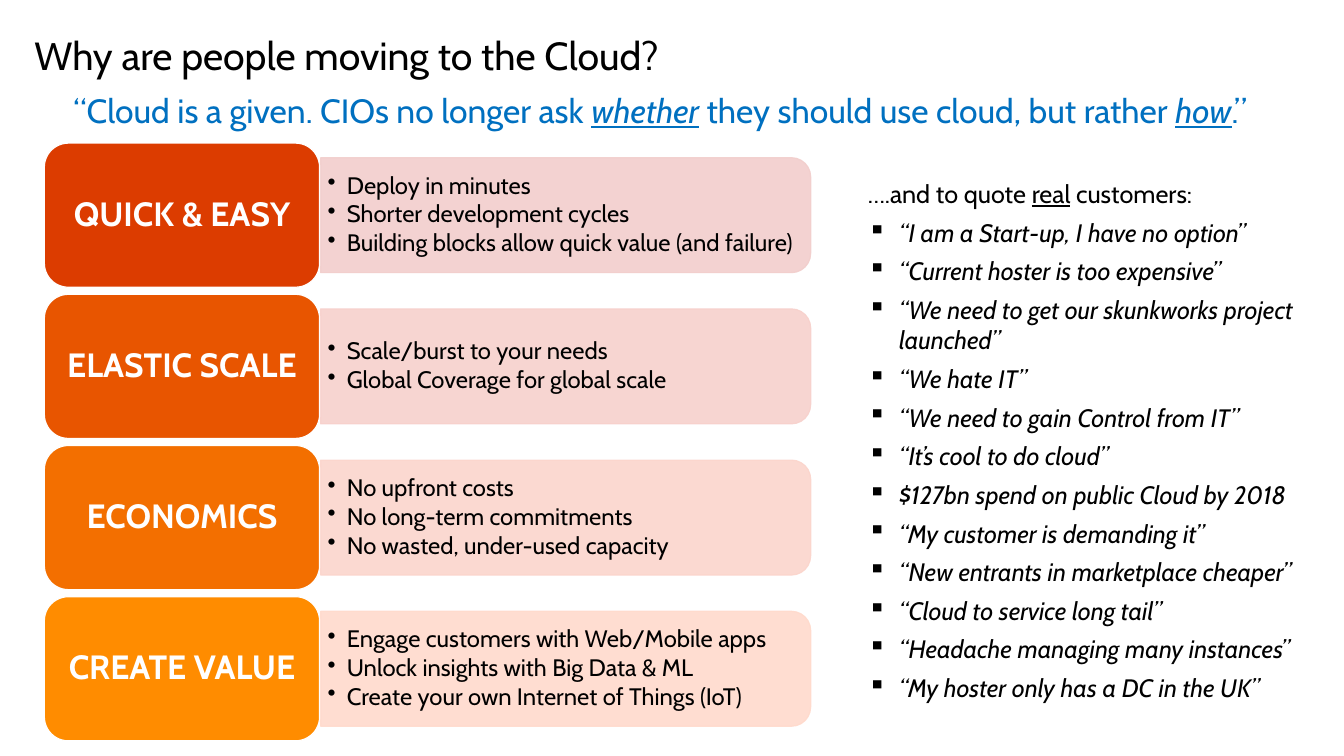
from lxml import etree
from pptx import Presentation
from pptx.dml.color import RGBColor
from pptx.enum import shapes, text
from pptx.oxml import ns
from pptx.util import Inches, Pt

FONT = "Cabin"
TITLE = "Why are people moving to the Cloud?"
HEADLINE = [
    ("“Cloud is a given. CIOs no longer ask ", False),
    ("whether", True),
    (" they should use cloud, but rather ", False),
    ("how", True),
    (".”", False),
]
REASONS = [
    ("QUICK & EASY", "DC3C00", "F2CECC", [
        "Deploy in minutes",
        "Shorter development cycles",
        "Building blocks allow quick value (and failure)",
    ]),
    ("ELASTIC SCALE", "E85500", "F7D1CC", [
        "Scale/burst to your needs",
        "Global Coverage for global scale",
    ]),
    ("ECONOMICS", "F36F00", "FBD5CC", [
        "No upfront costs",
        "No long-term commitments",
        "No wasted, under-used capacity",
    ]),
    ("CREATE VALUE", "FF8C00", "FFDACC", [
        "Engage customers with Web/Mobile apps",
        "Unlock insights with Big Data & ML",
        "Create your own Internet of Things (IoT)",
    ]),
]
QUOTES_INTRO = [("….and to quote ", False), ("real", True), (" customers:", False)]
QUOTES = [
    "“I am a Start-up, I have no option”",
    "“Current hoster is too expensive”",
    "“We need to get our skunkworks project launched”",
    "“We hate IT”",
    "“We need to gain Control from IT”",
    "“It’s cool to do cloud”",
    "$127bn spend on public Cloud by 2018",
    "“My customer is demanding it”",
    "“New entrants in marketplace cheaper”",
    "“Cloud to service long tail”",
    "“Headache managing many instances”",
    "“My hoster only has a DC in the UK”",
]

ROW_TOP, ROW_PITCH = 1.42, 1.5
LABEL_LEFT, LABEL_WIDTH, LABEL_HEIGHT = 0.44, 2.73, 1.43
PANEL_LEFT, PANEL_WIDTH, PANEL_HEIGHT = 3.18, 4.86, 1.14
POINTS_WIDTH, POINTS_HEIGHT = 4.8, 1.03


def color(value):
    return RGBColor.from_string(value)


def style(paragraph, size, ink="000000", bold=False, italic=False):
    font = paragraph.font
    font.name, font.size = FONT, Pt(size)
    font.bold, font.italic = bold, italic
    font.color.rgb = color(ink)


def bullet(paragraph, mark, indent):
    properties = paragraph._p.get_or_add_pPr()
    properties.set("marL", str(Inches(indent)))
    properties.set("indent", str(-Inches(indent)))
    etree.SubElement(properties, ns.qn("a:buChar")).set("char", mark)


def add_runs(paragraph, runs, italic=False):
    for words, stressed in runs:
        run = paragraph.add_run()
        run.text = words
        if stressed:
            run.font.underline = True
            if italic:
                run.font.italic = True


def add_text(slide, left, top, width, height):
    box = slide.shapes.add_textbox(Inches(left), Inches(top), Inches(width), Inches(height))
    box.text_frame.word_wrap = True
    return box.text_frame


def add_block(slide, preset, left, top, width, height, fill, line):
    block = slide.shapes.add_shape(
        preset, Inches(left), Inches(top), Inches(width), Inches(height))
    block.shadow.inherit = False
    block.fill.solid()
    block.fill.fore_color.rgb = color(fill)
    block.line.color.rgb = color(line)
    block.line.width = Pt(0.85)
    return block


def add_panel(slide, middle, fill):
    center = PANEL_LEFT + PANEL_WIDTH / 2
    panel = add_block(
        slide, shapes.MSO_SHAPE.ROUND_2_SAME_RECTANGLE,
        center - PANEL_HEIGHT / 2, middle - PANEL_WIDTH / 2,
        PANEL_HEIGHT, PANEL_WIDTH, fill, fill)
    panel.rotation = 90
    for tint in panel._element.spPr.iter(ns.qn("a:srgbClr")):
        etree.SubElement(tint, ns.qn("a:alpha")).set("val", "90000")


def add_points(slide, middle, points):
    frame = add_text(slide, PANEL_LEFT, middle - POINTS_HEIGHT / 2, POINTS_WIDTH, POINTS_HEIGHT)
    frame.vertical_anchor = text.MSO_ANCHOR.MIDDLE
    frame.margin_left = frame.margin_right = Inches(0.07)
    frame.margin_top = frame.margin_bottom = Inches(0.04)
    for index, point in enumerate(points):
        paragraph = frame.paragraphs[0] if index == 0 else frame.add_paragraph()
        paragraph.text = point
        paragraph.line_spacing = 0.9
        paragraph.space_after = Pt(2.2)
        bullet(paragraph, "•", 0.19)
        style(paragraph, 17)


def add_label(slide, top, words, fill):
    label = add_block(
        slide, shapes.MSO_SHAPE.ROUNDED_RECTANGLE,
        LABEL_LEFT, top, LABEL_WIDTH, LABEL_HEIGHT, fill, "FFFFFF")
    frame = label.text_frame
    frame.vertical_anchor = text.MSO_ANCHOR.MIDDLE
    paragraph = frame.paragraphs[0]
    paragraph.text = words
    paragraph.alignment = text.PP_ALIGN.CENTER
    paragraph.line_spacing = 0.9
    style(paragraph, 24, "FFFFFF", bold=True)


def add_title(slide):
    title = slide.shapes.title
    title.left, title.top = Inches(0.24), Inches(0.26)
    title.width, title.height = Inches(6.47), Inches(0.57)
    frame = title.text_frame
    frame.auto_size = text.MSO_AUTO_SIZE.NONE
    frame.word_wrap = False
    frame.vertical_anchor = text.MSO_ANCHOR.TOP
    paragraph = frame.paragraphs[0]
    paragraph.text = TITLE
    paragraph.alignment = text.PP_ALIGN.LEFT
    style(paragraph, 28)


def add_quotes(slide):
    frame = add_text(slide, 8.51, 1.72, 4.64, 5.35)
    intro = frame.paragraphs[0]
    add_runs(intro, QUOTES_INTRO)
    style(intro, 18)
    for quote in QUOTES:
        paragraph = frame.add_paragraph()
        paragraph.text = quote
        paragraph.space_before = Pt(6)
        bullet(paragraph, "▪", 0.31)
        style(paragraph, 18, italic=True)


def add_headline(slide):
    paragraph = add_text(slide, 0.63, 0.89, 12.16, 0.46).paragraphs[0]
    add_runs(paragraph, HEADLINE, italic=True)
    paragraph.line_spacing = 0.9
    style(paragraph, 24, "0070C0")


def main():
    presentation = Presentation()
    presentation.slide_width, presentation.slide_height = Inches(13.33), Inches(7.5)
    slide = presentation.slides.add_slide(presentation.slide_layouts[5])
    add_title(slide)
    for row, (words, label_fill, panel_fill, points) in enumerate(REASONS):
        top = ROW_TOP + row * ROW_PITCH
        middle = top + LABEL_HEIGHT / 2
        add_panel(slide, middle, panel_fill)
        add_points(slide, middle, points)
        add_label(slide, top, words, label_fill)
    add_quotes(slide)
    add_headline(slide)
    presentation.save("out.pptx")


if __name__ == "__main__":
    main()
